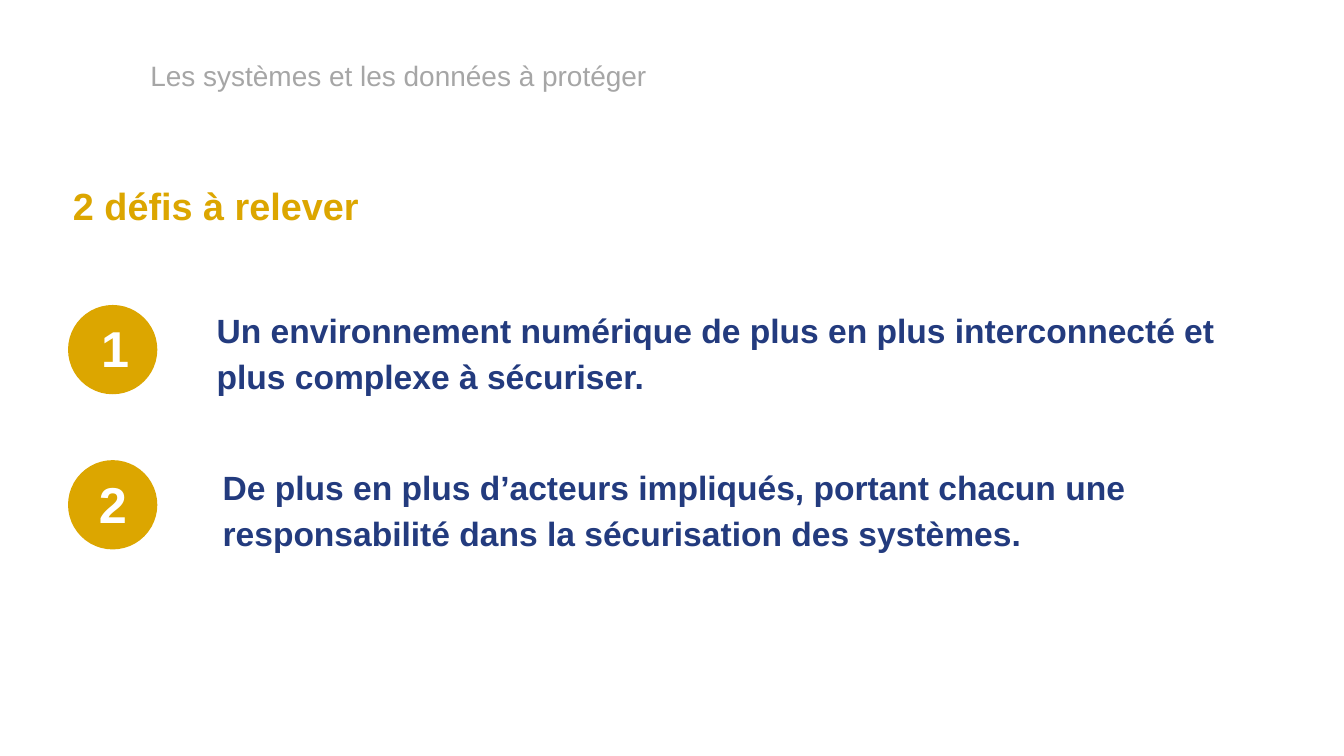
from pptx import Presentation
from pptx.dml.color import RGBColor
from pptx.enum.shapes import MSO_SHAPE
from pptx.enum.text import MSO_ANCHOR, MSO_AUTO_SIZE, PP_ALIGN
from pptx.util import Cm, Pt

OVAL = MSO_SHAPE.OVAL
TOP, MIDDLE = MSO_ANCHOR.TOP, MSO_ANCHOR.MIDDLE
NO_AUTOFIT = MSO_AUTO_SIZE.NONE
LEFT = PP_ALIGN.LEFT

GOLD = RGBColor(0xDC, 0xA6, 0x00)
NAVY = RGBColor(0x23, 0x3B, 0x7E)
GREY = RGBColor(0xA6, 0xA6, 0xA6)
WHITE = RGBColor(0xFF, 0xFF, 0xFF)


def write(box, text, size, color, bold=True, spacing=1.0, anchor=TOP, inset=None):
    frame = box.text_frame
    frame.word_wrap = True
    frame.auto_size = NO_AUTOFIT
    frame.vertical_anchor = anchor
    if inset is not None:
        frame.margin_left = frame.margin_right = inset
        frame.margin_top = frame.margin_bottom = inset
    paragraph = frame.paragraphs[0]
    paragraph.text = text
    paragraph.alignment = LEFT
    paragraph.line_spacing = spacing
    paragraph.space_before = Pt(0)
    font = paragraph.runs[0].font
    font.name, font.size, font.bold = "Arial", Pt(size), bold
    font.color.rgb = color


prs = Presentation()
prs.slide_width, prs.slide_height = Cm(67.74), Cm(38.1)
slide = prs.slides.add_slide(prs.slide_layouts[5])
shapes = slide.shapes

# Section title
title = shapes.title
title.left, title.top, title.width, title.height = Cm(7.32), Cm(2.84), Cm(33.88), Cm(1.96)
write(title, "Les systèmes et les données à protéger", size=40, color=GREY, bold=False)

# Heading
heading = shapes.add_textbox(Cm(3.43), Cm(8.76), Cm(59.79), Cm(2.67))
write(heading, "2 défis à relever", size=54, color=GOLD, spacing=1.14)

# Numbered challenges: number left, statement left, top and width, statement
challenges = [
    (4.95, 10.67, 15.19, 51.94,
     "Un environnement numérique de plus en plus interconnecté et plus complexe à sécuriser."),
    (4.83, 10.97, 23.14, 50.47,
     "De plus en plus d’acteurs impliqués, portant chacun une responsabilité "
     "dans la sécurisation des systèmes."),
]
for index, (number_left, left, top, width, statement_text) in enumerate(challenges):
    badge_top = 15.37 + index * 7.82
    badge = shapes.add_shape(OVAL, Cm(3.43), Cm(badge_top), Cm(4.5), Cm(4.5))
    badge.shadow.inherit = False
    badge.fill.solid()
    badge.fill.fore_color.rgb = GOLD
    badge.line.fill.background()

    number = shapes.add_textbox(Cm(number_left), Cm(badge_top + 0.48), Cm(3.45), Cm(3.35))
    write(number, str(index + 1), size=72, color=WHITE, anchor=MIDDLE, inset=Cm(0.15))

    statement = shapes.add_textbox(Cm(left), Cm(top), Cm(width), Cm(4.72))
    write(statement, statement_text, size=48, color=NAVY, spacing=1.14)

prs.save("out.pptx")
